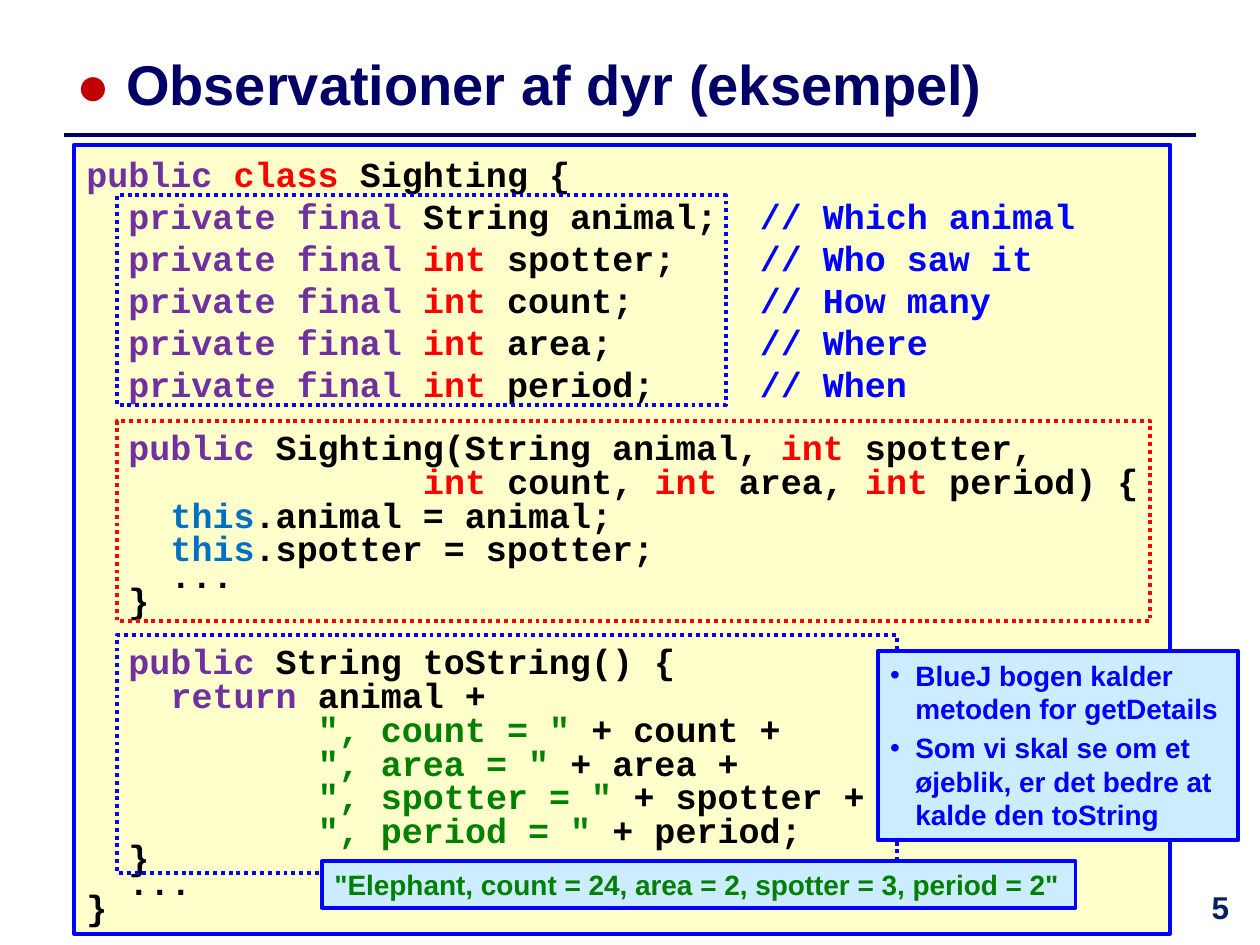
from itertools import groupby

from lxml import etree
from pptx import Presentation
from pptx.dml.color import RGBColor
from pptx.enum.dml import MSO_LINE
from pptx.enum.shapes import MSO_CONNECTOR, MSO_SHAPE
from pptx.enum.text import MSO_ANCHOR, PP_ALIGN
from pptx.oxml.ns import qn
from pptx.util import Pt

RECT = MSO_SHAPE.RECTANGLE
LINE = MSO_CONNECTOR.STRAIGHT
DOTS = MSO_LINE.ROUND_DOT
TOP, MID = MSO_ANCHOR.TOP, MSO_ANCHOR.MIDDLE
LEFT, CENTER = PP_ALIGN.LEFT, PP_ALIGN.CENTER


class Theme:
    sans, mono = "Arial", "Courier New"
    navy, page, dot = "000066", "002060", "C00000"
    black, blue, red, green = "000000", "0000FF", "FF0000", "008000"
    purple, azure = "7030A0", "0070C0"
    cream, sky = "FFFFCC", "CCECFF"
    head, num, code, note = 32, 18, 20, 16
    edge, rule = 2.25, 2


WORDS = {
    **dict.fromkeys(("public", "private", "final", "return"), Theme.purple),
    **dict.fromkeys(("class", "int"), Theme.red),
    "this": Theme.azure,
}

# Each row of code: text, line spacing, space before
FIELDS = [
    ("String animal;", "Which animal"),
    ("int spotter;", "Who saw it"),
    ("int count;", "How many"),
    ("int area;", "Where"),
    ("int period;", "When"),
]
CODE = [
    ("public class Sighting {", 1, 0),
    *((f"  private final {name:<16}// {about}", 1, 0) for name, about in FIELDS),
    ("  public Sighting(String animal, int spotter,", 1, 12),
    ("                int count, int area, int period) {", 0.8, 0),
    ("    this.animal = animal;", 0.8, 0),
    ("    this.spotter = spotter;", 0.8, 0),
    ("    ...", 0.6, 0),
    ("  }", 0.6, 0),
    ("  public String toString() {", 1, 12),
    ("    return animal +", 0.8, 0),
    ('           ", count = " + count +', 0.8, 0),
    ('           ", area = " + area +', 0.8, 0),
    ('           ", spotter = " + spotter +', 0.8, 0),
    ('           ", period = " + period;', 0.8, 0),
    ("  }", 0.6, 0),
    ("  ...", 0.6, 0),
    ("}", 0.6, 0),
]
NOTES = [
    "BlueJ bogen kalder metoden for getDetails",
    "Som vi skal se om et øjeblik, er det bedre at kalde den toString",
]
OUTPUT = '"Elephant, count = 24, area = 2, spotter = 3, period = 2"'


def paint(line):
    """Split a line of code into (text, colour) runs."""
    code, mark, about = line.partition("//")
    for i, part in enumerate(code.split('"')):
        if i % 2:
            yield f'"{part}"', Theme.green
            continue
        for _, chars in groupby(part, str.isalpha):
            word = "".join(chars)
            yield word, WORDS.get(word, Theme.black)
    if mark:
        yield mark + about, Theme.blue


def frame(slide, box, color, fill=None, dash=None):
    shape = slide.shapes.add_shape(RECT, *map(Pt, box))
    shape.shadow.inherit = False
    if fill:
        shape.fill.solid()
        shape.fill.fore_color.rgb = RGBColor.from_string(fill)
    else:
        shape.fill.background()
    shape.line.color.rgb = RGBColor.from_string(color)
    shape.line.width = Pt(Theme.edge)
    if dash:
        shape.line.dash_style = dash
    return shape


def label(slide, box):
    return slide.shapes.add_textbox(*map(Pt, box))


def write(shape, rows, size, font=Theme.sans, anchor=MID, align=LEFT,
          top=3.6, bullet=None):
    """Fill a shape with rows of (runs, line spacing, space before)."""
    body = shape.text_frame
    body.word_wrap = True
    body.vertical_anchor = anchor
    body.margin_top = Pt(top)
    for i, (runs, lead, gap) in enumerate(rows):
        para = body.paragraphs[0] if i == 0 else body.add_paragraph()
        para.alignment = align
        para.line_spacing = lead
        para.space_before = Pt(gap)
        if bullet:
            props = para._p.get_or_add_pPr()
            props.set("marL", str(Pt(14.4)))
            props.set("indent", str(-Pt(14.4)))
            etree.SubElement(props, qn("a:buFont")).set("typeface", font)
            etree.SubElement(props, qn("a:buChar")).set("char", bullet)
        for text, color in runs:
            run = para.add_run()
            run.text = text
            run.font.name = font
            run.font.size = Pt(size)
            run.font.bold = True
            run.font.color.rgb = RGBColor.from_string(color)


def header(slide, box):
    x, y, w, h = box
    # Rule under the title
    rule = slide.shapes.add_connector(
        LINE, Pt(x), Pt(y + h + 3), Pt(x + w), Pt(y + h + 3))
    rule.line.color.rgb = RGBColor.from_string(Theme.navy)
    rule.line.width = Pt(Theme.rule)
    etree.SubElement(rule._element.spPr, qn("a:effectLst"))
    # Title
    runs = [("● ", Theme.dot), ("Observationer af dyr (eksempel)", Theme.navy)]
    write(label(slide, box), [(runs, 1, 0)], Theme.head)


def listing(slide, box):
    x, y, w, h = box
    # Code panel
    rows = [(paint(line), lead, gap) for line, lead, gap in CODE]
    panel = frame(slide, box, Theme.blue, Theme.cream)
    write(panel, rows, Theme.code, Theme.mono, TOP, top=4.4)
    # Dotted frames: fields, constructor, toString
    for top, wide, high, color in (
        (28.8, 348, 120, Theme.blue),
        (157.7, 590.4, 114.5, Theme.red),
        (280, 445.7, 136, Theme.blue),
    ):
        frame(slide, (x + 24.5, y + top, wide, high), color, dash=DOTS)


def result(slide, box):
    panel = frame(slide, box, Theme.blue, Theme.sky)
    write(panel, [([(OUTPUT, Theme.green)], 1, 0)], Theme.note)


def remark(slide, box):
    rows = [([(text, Theme.blue)], 1, 3.2 * (i > 0)) for i, text in enumerate(NOTES)]
    panel = frame(slide, box, Theme.blue, Theme.sky)
    write(panel, rows, Theme.note, top=2.4, bullet="•")


def number(slide, box):
    write(label(slide, box), [([("5", Theme.page)], 1, 0)], Theme.num,
          anchor=TOP, align=CENTER)


def main():
    deck = Presentation()
    deck.slide_width, deck.slide_height = Pt(720), Pt(540)
    slide = deck.slides.add_slide(deck.slide_layouts[6])
    header(slide, (36.7, 20.2, 646.6, 54))
    number(slide, (671.8, 504, 51, 36))
    listing(slide, (42.3, 82.8, 626.4, 450.7))
    result(slide, (184, 492.2, 430.6, 26.6))
    remark(slide, (501.6, 372.2, 206, 108))
    deck.save("out.pptx")


if __name__ == "__main__":
    main()
